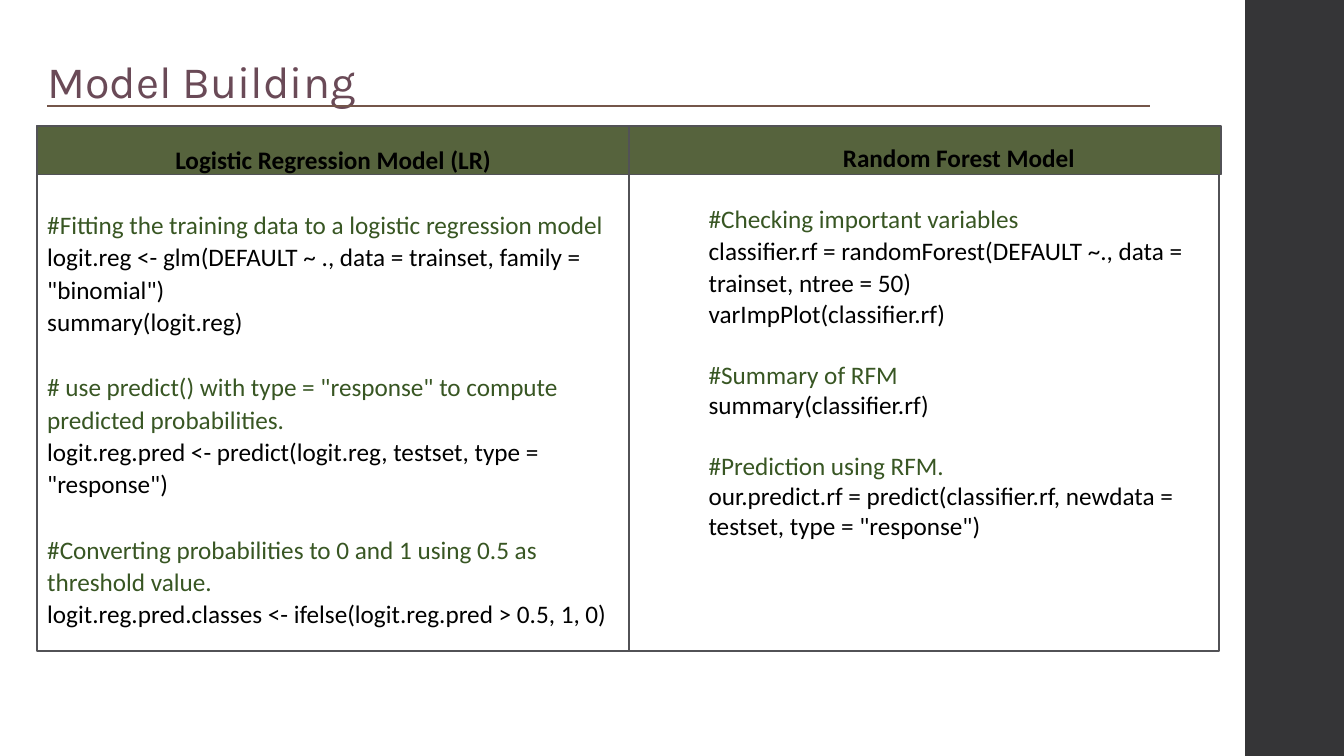
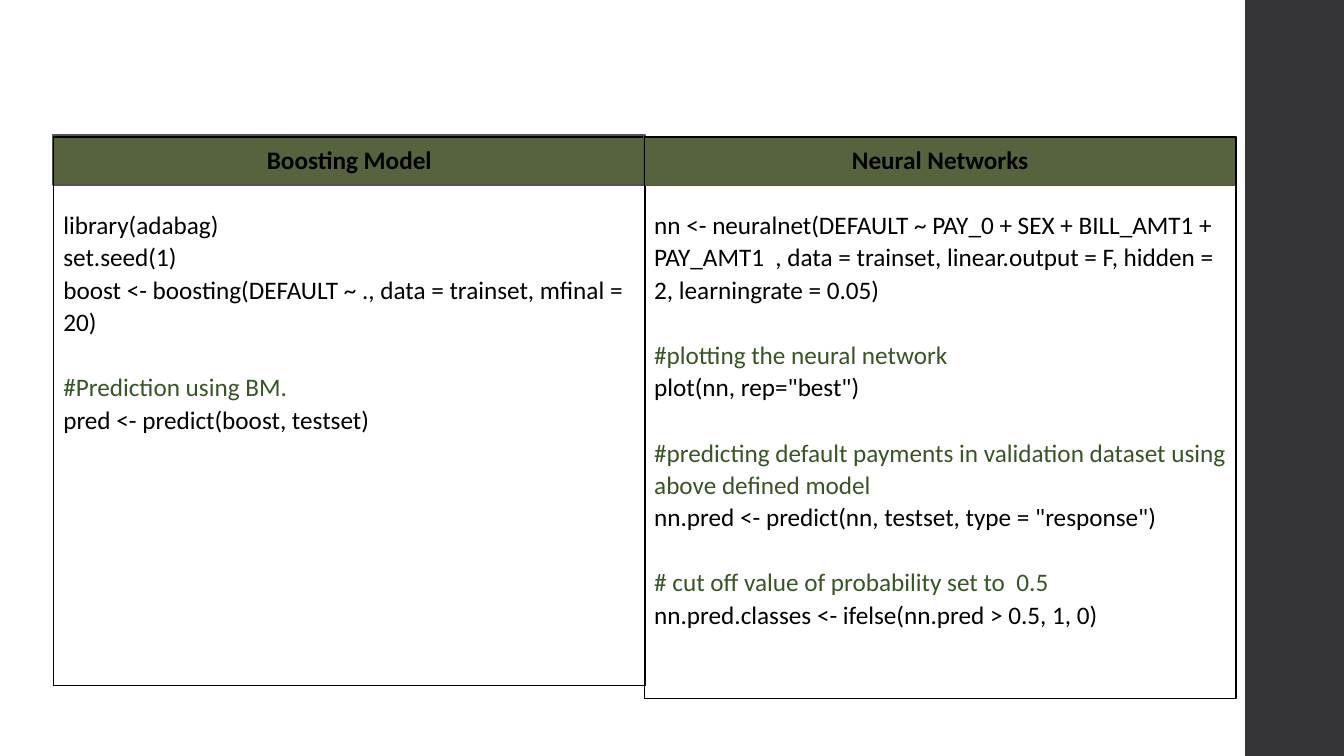
"""Build two slides that compare the R code of four models."""
from pptx import Presentation
from pptx.dml.color import RGBColor
from pptx.enum.shapes import MSO_CONNECTOR as Link, MSO_SHAPE as Shape
from pptx.enum.text import MSO_ANCHOR as Anchor, PP_ALIGN as Align
from pptx.oxml.ns import qn
from pptx.util import Inches, Pt
from lxml.etree import SubElement

WHITE = RGBColor(0xFF, 0xFF, 0xFF)
BLACK = RGBColor(0, 0, 0)
CHARCOAL = RGBColor(0x35, 0x35, 0x37)
GREY = RGBColor(0x52, 0x52, 0x56)
OLIVE = RGBColor(0x56, 0x63, 0x3D)
GREEN = RGBColor(0x38, 0x56, 0x23)
PLUM = RGBColor(0x6A, 0x4A, 0x57)
BROWN = RGBColor(0x74, 0x56, 0x4A)

SIZE = 18
LEADING = 1.22
LOOSE = 1.07
COL = 5.87
HEAD = 0.48

TITLE = "Model Building"
LOGIT = ("Logistic Regression Model (LR)", [
    ["#Fitting the training data to a logistic regression model",
     'logit.reg <- glm(DEFAULT ~ ., data = trainset, family = "binomial")',
     "summary(logit.reg)"],
    ['# use predict() with type = "response" to compute predicted probabilities.',
     'logit.reg.pred <- predict(logit.reg, testset, type = "response")'],
    ["#Converting probabilities to 0 and 1 using 0.5 as threshold value.",
     "logit.reg.pred.classes <- ifelse(logit.reg.pred > 0.5, 1, 0)"],
])
GROW = "classifier.rf = randomForest(DEFAULT ~., data = trainset, ntree = 50)"
FOREST = ("Random Forest Model", [
    ["#Checking important variables", GROW, "varImpPlot(classifier.rf)"],
    ["#Summary of RFM", "summary(classifier.rf)"],
    ["#Prediction using RFM.",
     'our.predict.rf = predict(classifier.rf, newdata = testset, type = "response")'],
])
BOOST = ("Boosting Model", [
    ["library(adabag)", "set.seed(1)",
     "boost <- boosting(DEFAULT ~ ., data = trainset, mfinal = 20)"],
    ["#Prediction using BM.", "pred <- predict(boost, testset)"],
])
NEURAL = ("Neural Networks", [
    ["nn <- neuralnet(DEFAULT ~ PAY_0 + SEX + BILL_AMT1 + PAY_AMT1  , "
     "data = trainset, linear.output = F, hidden = 2, learningrate = 0.05)"],
    ["#plotting the neural network", 'plot(nn, rep="best")'],
    ["#predicting default payments in validation dataset using above defined model",
     'nn.pred <- predict(nn, testset, type = "response")'],
    ["# cut off value of probability set to  0.5",
     "nn.pred.classes <- ifelse(nn.pred > 0.5, 1, 0)"],
])


def add_box(slide, at, fill=None, line=None, width=1.1):
    box = slide.shapes.add_shape(Shape.RECTANGLE, *map(Inches, at))
    box.shadow.inherit = False
    if fill is None:
        box.fill.background()
    else:
        box.fill.solid()
        box.fill.fore_color.rgb = fill
    if line is None:
        box.line.fill.background()
    else:
        box.line.color.rgb = line
        box.line.width = Pt(width)
    return box


def add_text(slide, at):
    box = slide.shapes.add_textbox(*map(Inches, at))
    box.text_frame.word_wrap = True
    return box


def write_code(box, model, spacing=LOOSE, loose=()):
    name, groups = model
    frame = box.text_frame
    frame.word_wrap = True
    frame.vertical_anchor = Anchor.TOP

    def add_line(para, text, bold=False):
        para.text = text
        para.alignment = Align.CENTER if bold else Align.LEFT
        para.line_spacing = LOOSE if text in loose else spacing
        font = para.font
        font.name, font.size, font.bold = "Calibri", Pt(SIZE), bold
        font.color.rgb = GREEN if text.startswith("#") else BLACK

    add_line(frame.paragraphs[0], name, True)
    for group in groups:
        for i, text in enumerate(group):
            para = frame.add_paragraph()
            add_line(para, text)
            if i == 0:
                para.space_before = Pt(round(SIZE * LEADING * spacing, 1))


def add_title(slide, text):
    para = add_text(slide, (0.37, 0.48, 8.35, 0.64)).text_frame.paragraphs[0]
    para.text = text
    para.font.name, para.font.size = "Karla", Pt(32)
    para.font.color.rgb = PLUM
    ends = map(Inches, (0.47, 1.05, 11.41, 1.05))
    rule = slide.shapes.add_connector(Link.STRAIGHT, *ends)
    rule.line.color.rgb = BROWN
    rule.line.width = Pt(1.5)
    SubElement(rule.element.spPr, qn("a:effectLst"))


def add_band(layout, slide):
    for holder in list(layout.placeholders):
        layout.shapes.element.remove(holder.element)
    band = add_box(slide, (12.35, 0, 1, 7.5), CHARCOAL)
    layout.shapes.element.append(band.element)


def build_first(slide):
    left, top, low = 0.37, 1.25, 6.46
    mid = left + COL
    body = top + HEAD
    add_box(slide, (mid - 0.02, body, COL, low - body), WHITE, GREY)
    add_box(slide, (left, top, COL, low - top), WHITE, GREY)
    for x in (left, mid):
        add_box(slide, (x, top, COL, HEAD), OLIVE, GREY)
    write_code(add_text(slide, (left, 1.36, COL, 5.59)), LOGIT)
    write_code(add_text(slide, (6.93, 1.36, 5.16, 4.08)), FOREST, 1.0, (GROW,))
    add_title(slide, TITLE)


def build_second(slide):
    top = 1.36
    panels = [(BOOST, 0.53, 1.34, 1.5, 5.44), (NEURAL, 6.39, top, 1.1, 5.57)]
    for model, x, y, width, high in panels:
        add_box(slide, (x, y, COL, top + HEAD - y), OLIVE, GREY, width)
        frame = add_box(slide, (x, top, COL, high), None, BLACK, 1)
        write_code(frame, model)


def main():
    deck = Presentation()
    deck.slide_width, deck.slide_height = Inches(13.33), Inches(7.5)
    blank = deck.slide_layouts[6]
    first, second = [deck.slides.add_slide(blank) for _ in range(2)]
    add_band(blank, first)
    build_first(first)
    build_second(second)
    deck.save("out.pptx")


if __name__ == "__main__":
    main()
